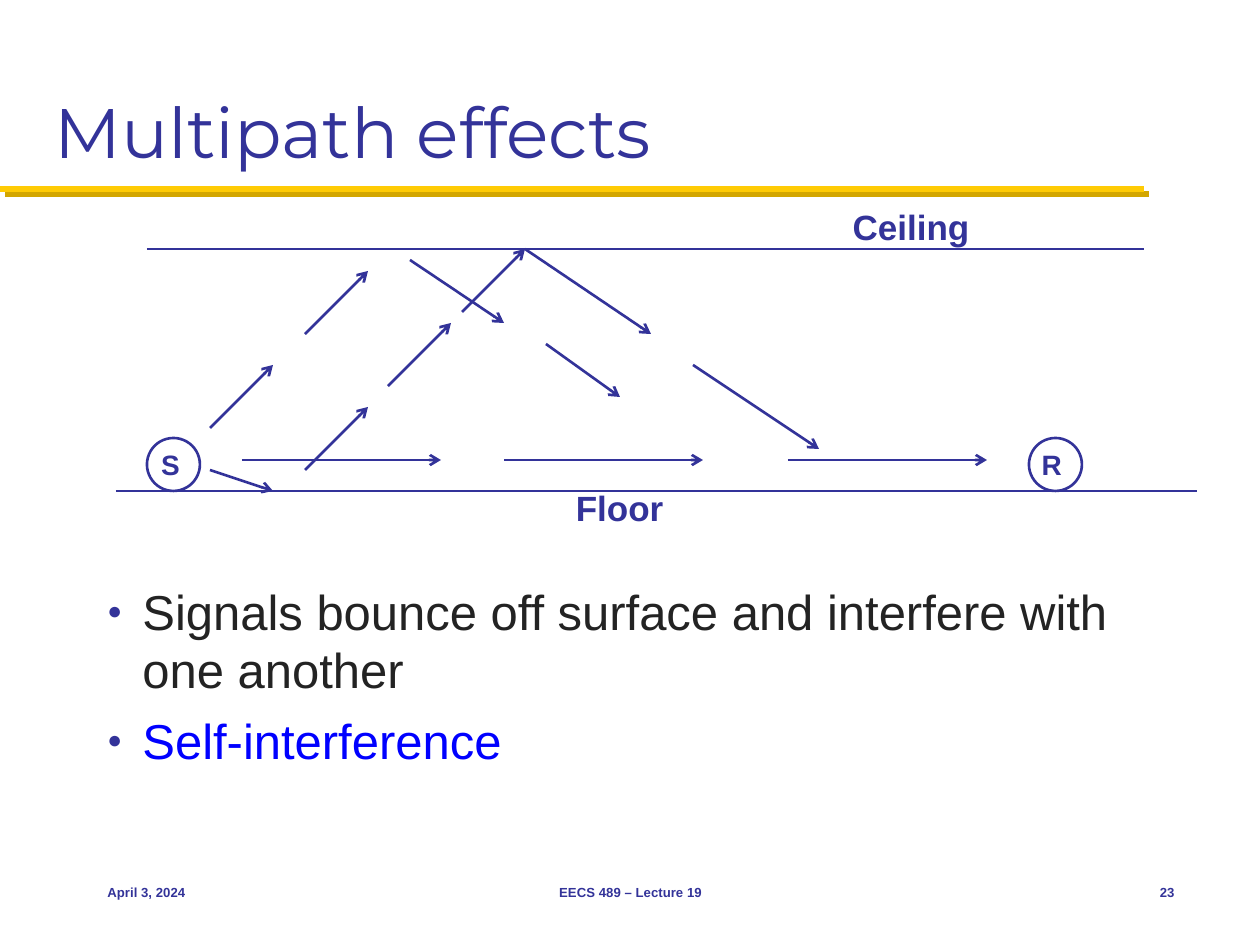
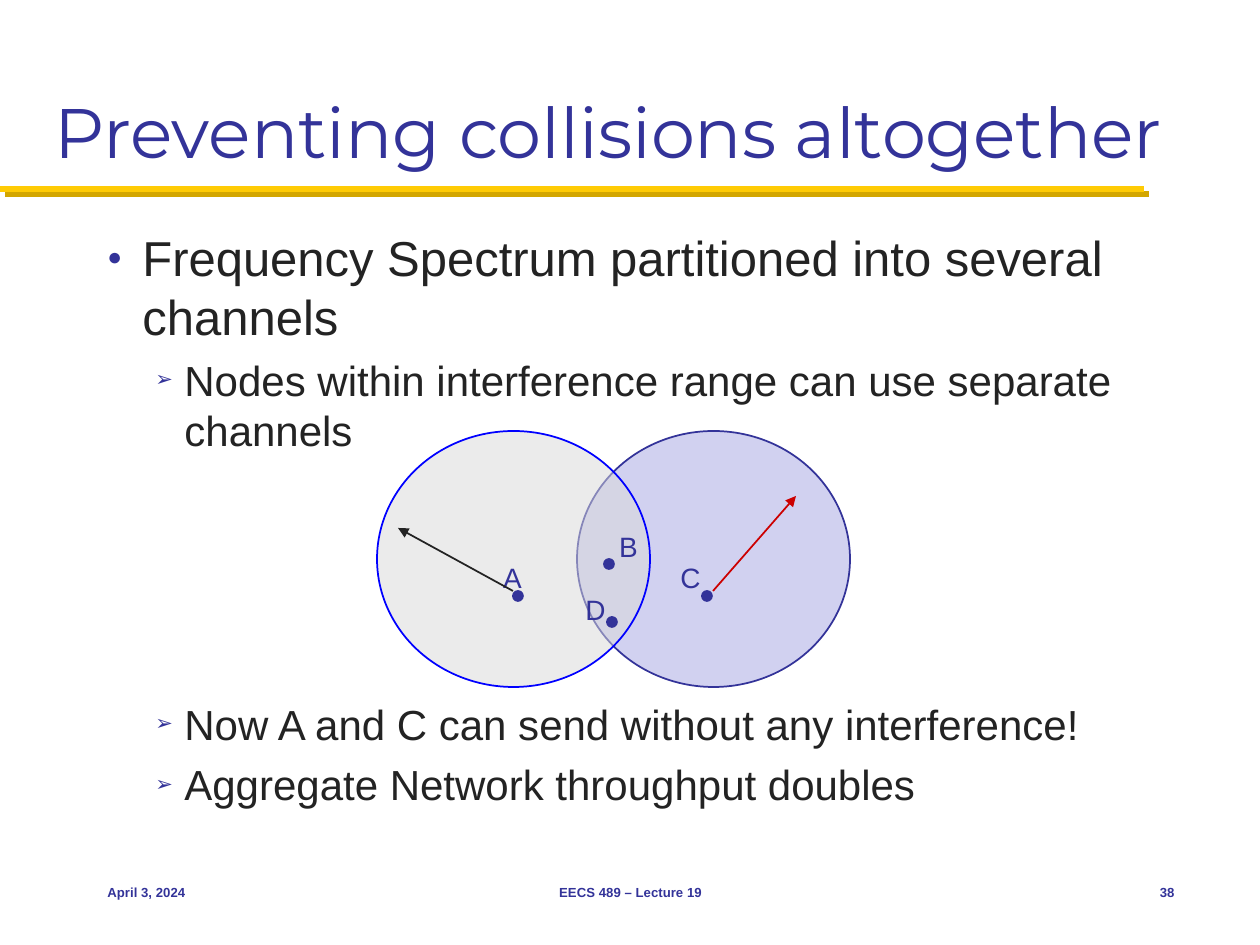
from lxml import etree
from pptx import Presentation
from pptx.dml.color import RGBColor
from pptx.enum.shapes import MSO_CONNECTOR, MSO_SHAPE
from pptx.enum.text import MSO_ANCHOR, MSO_AUTO_SIZE, PP_ALIGN
from pptx.oxml.ns import qn
from pptx.util import Emu, Pt

STRAIGHT, OVAL = MSO_CONNECTOR.STRAIGHT, MSO_SHAPE.OVAL
LEFT, CENTER, RIGHT = PP_ALIGN.LEFT, PP_ALIGN.CENTER, PP_ALIGN.RIGHT
TOP, MIDDLE, BOTTOM = MSO_ANCHOR.TOP, MSO_ANCHOR.MIDDLE, MSO_ANCHOR.BOTTOM
NO_FIT = MSO_AUTO_SIZE.NONE

COLORS = {
    "navy": "333399", "ink": "232323", "blue": "0000FF", "red": "CC0000",
    "gold": "FFCB05", "dark gold": "D3A600", "lilac": "D1D1F0", "gray": "D9D9D9",
}
PX_PER_INCH = 126

# Shared content and places
TITLE_AREA = (42, 21, 1176, 158)
BAND = (0, 189, 1144, 189)
FOOTER_TOP, FOOTER_HEIGHT = 861, 63
DATE, COURSE = "April 3, 2024", "EECS 489 – Lecture 19"

# Bullet levels: sizes and gaps in points, indents in px
LEVELS = [
    {"mark": "●", "size": 28, "margin": 35, "hang": 35, "gap": 6.5},
    {"mark": "➢", "size": 24, "margin": 77, "hang": 29, "gap": 5.5},
]

# Multipath slide: bullets are (level, text, color, extra gap in points)
MULTIPATH_AREA = (95, 575, 1092, 255)
MULTIPATH_BULLETS = [
    (0, "Signals bounce off surface and interfere with one another", "ink", 0),
    (0, "Self-interference", "blue", 0),
]
FLOOR_Y, CEILING_Y, DIRECT_Y = 491, 249, 460
SURFACES = [(116, FLOOR_Y, 1197, FLOOR_Y), (147, CEILING_Y, 1144, CEILING_Y)]
SURFACE_LABELS = [("Ceiling", (838, 199, 144, 55)), ("Floor", (563, 480, 113, 55))]
STATIONS = [("S", 147), ("R", 1029)]
STATION_TOP, STATION_SIZE = 438, 53
DIRECT_STARTS, DIRECT_LENGTH = (242, 504, 788), 199
CEILING_PATH = [
    (210, 428, 273, 365), (305, 334, 368, 271),
    (410, 260, 504, 323), (546, 344, 620, 397),
]
FLOOR_PATH = [
    (210, 470, 273, FLOOR_Y), (305, 470, 368, 407), (388, 386, 451, 323),
    (462, 312, 525, CEILING_Y), (525, CEILING_Y, 651, 334), (693, 365, 819, 449),
]

# Collision slide
CHANNEL_AREA = (95, 221, 1092, 609)
CHANNEL_BULLETS = [
    (0, "Frequency Spectrum partitioned into several channels", "ink", 0),
    (1, "Nodes within interference range can use separate channels", "ink", 0),
    (1, "Now A and C can send without any interference!", "ink", 133.5),
    (1, "Aggregate Network throughput doubles", "ink", 0),
]
RANGE_TOP, RANGE_WIDTH, RANGE_HEIGHT = 431, 273, 256
RANGES = [(577, "lilac", 100, "navy"), (377, "gray", 50, "blue")]
DOT_SIZE = 10
NODES = [  # name, dot corner, label corner
    ("A", (513, 591), (490, 554)), ("B", (604, 559), (606, 523)),
    ("C", (702, 591), (668, 554)), ("D", (607, 617), (573, 586)),
]
REACHES = [((713, 591, 796, 496), "red"), ((513, 591, 398, 528), "ink")]


def px(length):
    return Emu(round(length * 914400 / PX_PER_INCH))


def rgb(name):
    return RGBColor.from_string(COLORS[name])


def add_xml(parent, tag, **attributes):
    return etree.SubElement(parent, qn(tag), {k: str(v) for k, v in attributes.items()})


def add_color(parent, name):
    return add_xml(parent, "a:srgbClr", val=COLORS[name])


def write(box, text, para=None, size=16, color="navy", font="Arial", bold=False,
          align=LEFT, anchor=TOP, wrap=True):
    frame = box.text_frame
    frame.word_wrap, frame.vertical_anchor, frame.auto_size = wrap, anchor, NO_FIT
    para = para or frame.paragraphs[0]
    para.alignment = align
    span = para.add_run()
    span.text = text
    span.font.size, span.font.name, span.font.bold = Pt(size), font, bold
    span.font.color.rgb = rgb(color)


def add_text(page, area, text, **style):
    write(page.shapes.add_textbox(*map(px, area)), text, **style)


def add_line(page, ends, color="navy", width=1.5, head=None):
    line = page.shapes.add_connector(STRAIGHT, *map(px, ends))
    line.line.color.rgb, line.line.width = rgb(color), Pt(width)
    properties = line.element.spPr
    if head:
        add_xml(properties.find(qn("a:ln")), "a:tailEnd", type=head)
    return add_xml(properties, "a:effectLst")


def add_oval(page, area, fill=None, line="navy", width=1, opacity=100):
    oval = page.shapes.add_shape(OVAL, *map(px, area))
    oval.shadow.inherit = False
    oval.line.color.rgb, oval.line.width = rgb(line), Pt(width)
    if fill:
        oval.fill.solid()
        oval.fill.fore_color.rgb = rgb(fill)
    else:
        oval.fill.background()
    if opacity < 100:
        color = oval.element.spPr.find(qn("a:solidFill")).find(qn("a:srgbClr"))
        add_xml(color, "a:alpha", val=opacity * 1000)
    return oval


def add_bullets(page, area, bullets):
    box = page.shapes.add_textbox(*map(px, area))
    for index, (depth, text, color, extra) in enumerate(bullets):
        level = LEVELS[depth]
        frame = box.text_frame
        para = frame.add_paragraph() if index else frame.paragraphs[0]
        para.level = depth
        para.space_before = Pt(level["gap"] + extra)
        write(box, text, para=para, size=level["size"], color=color)
        properties = para._p.get_or_add_pPr()
        properties.set("marL", str(px(level["margin"])))
        properties.set("indent", str(-px(level["hang"])))
        add_color(add_xml(properties, "a:buClr"), "navy")
        add_xml(properties, "a:buSzPct", val=50000)
        add_xml(properties, "a:buFont", typeface="Arial")
        add_xml(properties, "a:buChar", char=level["mark"])


def start_page(deck, title, number):
    page = deck.slides.add_slide(deck.slide_layouts[5])
    # Gold band with its hard shadow
    effects = add_line(page, BAND, color="gold", width=3.5)
    shadow = add_xml(effects, "a:outerShdw", dist=Pt(4.2), dir=45 * 60000,
                     algn="ctr", rotWithShape=0)
    add_color(shadow, "dark gold")
    # Title
    heading = page.shapes.title
    heading.left, heading.top, heading.width, heading.height = map(px, TITLE_AREA)
    write(heading, title, size=40, font="Montserrat", anchor=BOTTOM)
    # Footer
    for left, width, text, align in [(95, 262, DATE, LEFT), (431, 399, COURSE, CENTER),
                                     (1103, 84, str(number), RIGHT)]:
        add_text(page, (left, FOOTER_TOP, width, FOOTER_HEIGHT), text,
                 size=7.5, bold=True, align=align, anchor=MIDDLE)
    return page


def build_multipath(deck):
    page = start_page(deck, "Multipath effects", 23)
    add_bullets(page, MULTIPATH_AREA, MULTIPATH_BULLETS)
    # Sender and receiver
    for name, left in STATIONS:
        station = add_oval(page, (left, STATION_TOP, STATION_SIZE, STATION_SIZE), width=1.5)
        write(station, name, bold=True, align=RIGHT, anchor=MIDDLE, wrap=False)
    # Surfaces and signals
    for ends in SURFACES:
        add_line(page, ends)
    direct_path = [(x, DIRECT_Y, x + DIRECT_LENGTH, DIRECT_Y) for x in DIRECT_STARTS]
    for ends in direct_path + CEILING_PATH + FLOOR_PATH:
        add_line(page, ends, head="arrow")
    for name, area in SURFACE_LABELS:
        add_text(page, area, name, size=20, bold=True, align=RIGHT, wrap=False)


def build_channels(deck):
    page = start_page(deck, "Preventing collisions altogether", 38)
    add_bullets(page, CHANNEL_AREA, CHANNEL_BULLETS)
    # Radio ranges
    for left, fill, opacity, line in RANGES:
        add_oval(page, (left, RANGE_TOP, RANGE_WIDTH, RANGE_HEIGHT),
                 fill=fill, line=line, opacity=opacity)
    # Nodes
    for name, dot, label in NODES:
        add_oval(page, (*dot, DOT_SIZE, DOT_SIZE), fill="navy")
        add_text(page, (*label, 45, 46), name, align=CENTER, wrap=False)
    for ends, color in REACHES:
        add_line(page, ends, color=color, width=1, head="triangle")


def main():
    deck = Presentation()
    deck.slide_width, deck.slide_height = px(1260), px(945)
    build_multipath(deck)
    build_channels(deck)
    deck.save("out.pptx")


if __name__ == "__main__":
    main()
